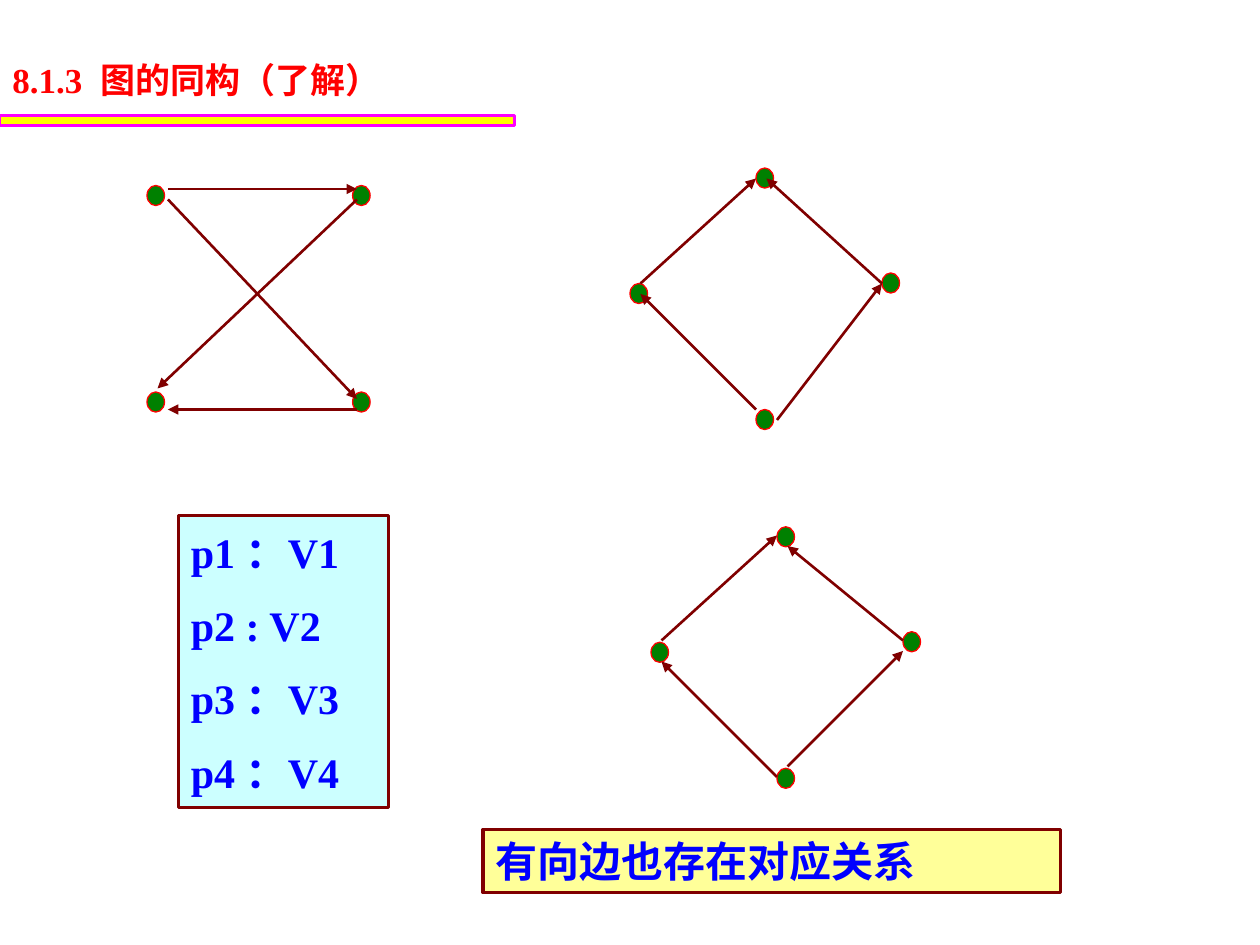
from lxml.etree import SubElement
from pptx import Presentation
from pptx.dml.color import RGBColor
from pptx.enum.shapes import MSO_CONNECTOR, MSO_SHAPE
from pptx.enum.text import MSO_ANCHOR, PP_ALIGN
from pptx.oxml.ns import qn
from pptx.util import Pt

HUES = {
    "red": "FF0000", "green": "008000", "maroon": "800000", "blue": "0000FF",
    "yellow": "FFFF00", "pink": "FF00FF", "cyan": "CCFFFF", "cream": "FFFF99",
}
LATIN, HAN = "Times New Roman", "Noto Sans CJK SC"

# Node corners and edges (x1, y1, x2, y2), relative to the graph's corner
BOW = [(0, 0), (117.5, 0), (0, 118), (117.5, 118)]
BOW_EDGES = [(12, 2, 120, 2), (12, 8, 120, 122),
             (120, 8, 6, 116), (120, 128, 12, 128)]
DIAMOND = [(144, 60), (0, 66), (72, 0), (72, 138)]
UPPER_EDGES = [(6, 66, 72, 6), (144, 66, 78, 6),
               (72, 138, 6, 72), (84, 144, 144, 66)]
LOWER_EDGES = [(78, 137, 144, 71), (72, 143, 6, 77),
               (144, 65, 78, 11), (6, 65, 72, 5)]


def hue(name):
    return RGBColor.from_string(HUES[name])


def add_form(shapes, kind, box, fill, line, width):
    form = shapes.add_shape(kind, *map(Pt, box))
    form.shadow.inherit = False
    form.fill.solid()
    form.fill.fore_color.rgb = hue(fill)
    form.line.color.rgb = hue(line)
    form.line.width = Pt(width)
    return form


def add_arrow(shapes, *ends):
    arrow = shapes.add_connector(MSO_CONNECTOR.STRAIGHT, *map(Pt, ends))
    arrow.line.color.rgb = hue("maroon")
    arrow.line.width = Pt(1.5)
    SubElement(arrow.line._get_or_add_ln(), qn("a:tailEnd"), type="triangle")
    SubElement(arrow._element.spPr, qn("a:effectLst"))


def style(run, size, color, face, east=None):
    font = run.font
    font.size, font.bold, font.name = Pt(size), True, face
    font.color.rgb = hue(color)
    if east:
        SubElement(run._r.get_or_add_rPr(), qn("a:ea"), typeface=east)


def add_graph(shapes, left, top, nodes, edges):
    for x, y in nodes:
        add_form(shapes, MSO_SHAPE.OVAL, (left + x, top + y, 10, 11.5),
                 "green", "red", 0.75)
    for x1, y1, x2, y2 in edges:
        add_arrow(shapes, left + x1, top + y1, left + x2, top + y2)


def add_panel(shapes, box, fill, lines, face, east=None):
    """Draw a framed box of left-aligned blue lines."""
    panel = add_form(shapes, MSO_SHAPE.RECTANGLE, box, fill, "maroon", 2)
    frame = panel.text_frame
    frame.word_wrap = True
    frame.vertical_anchor = MSO_ANCHOR.MIDDLE
    frame.text = "\n".join(lines)
    for i, para in enumerate(frame.paragraphs):
        para.alignment = PP_ALIGN.LEFT
        if i:
            para.space_before = Pt(13)
        for run in para.runs:
            style(run, 24, "blue", face, east)


def add_title(shapes, left, top, width, height):
    frame = shapes.add_textbox(*map(Pt, (left, top, width, height))).text_frame
    frame.word_wrap = True
    para = frame.paragraphs[0]
    for text, face, east in (("8.1.3  ", LATIN, None),
                             ("图的同构（了解）", "Arial", HAN)):
        run = para.add_run()
        run.text = text
        style(run, 20, "red", face, east)


def main():
    deck = Presentation()
    deck.slide_width, deck.slide_height = Pt(720), Pt(540)
    shapes = deck.slides.add_slide(deck.slide_layouts[6]).shapes
    add_form(shapes, MSO_SHAPE.RECTANGLE, (0, 66, 294, 6),
             "yellow", "pink", 1.75)
    add_graph(shapes, 84, 106, BOW, BOW_EDGES)
    add_graph(shapes, 360, 96, DIAMOND, UPPER_EDGES)
    add_panel(shapes, (102, 294.5, 120, 167), "cyan",
              ["p1 ：V1", "p2 : V2", "p3 ：V3", "p4 ：V4"], LATIN)
    add_graph(shapes.add_group_shape().shapes, 372, 301, DIAMOND, LOWER_EDGES)
    add_panel(shapes, (276, 474, 330, 36), "cream",
              ["有向边也存在对应关系"], HAN, HAN)
    add_title(shapes, 0, 30, 312, 31)
    deck.save("out.pptx")


if __name__ == "__main__":
    main()
